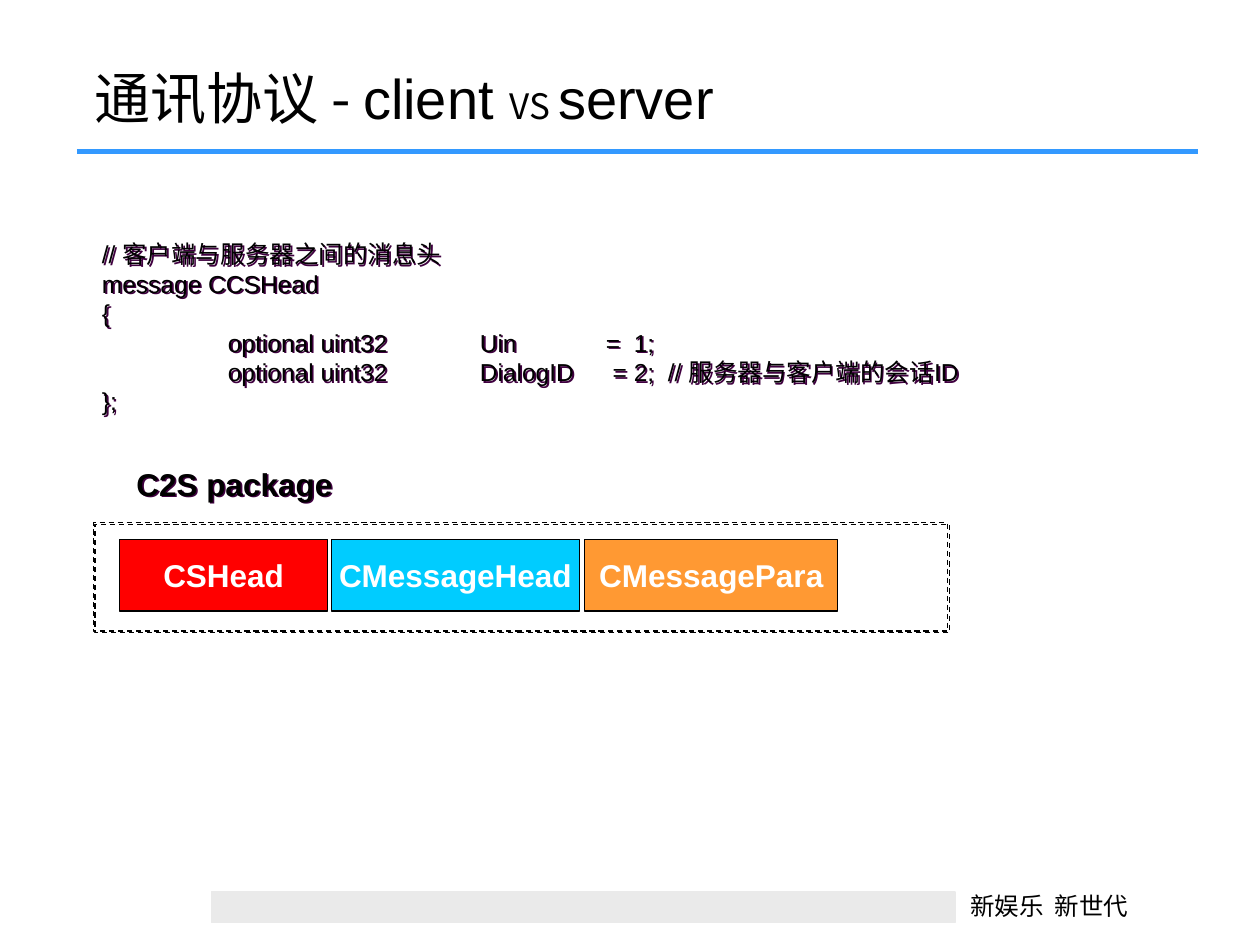
from lxml import etree
from pptx import Presentation
from pptx import util as u
from pptx.dml.color import RGBColor
from pptx.enum import dml, shapes, text
from pptx.oxml import ns

BLACK = RGBColor(0, 0, 0)
WHITE = RGBColor(255, 255, 255)
BLUE = RGBColor(0x33, 0x99, 0xFF)
GREY = RGBColor(0xEA, 0xEA, 0xEA)
RED = RGBColor(255, 0, 0)
CYAN = RGBColor(0, 0xCC, 0xFF)
ORANGE = RGBColor(0xFF, 0x99, 0x33)
PLUM = RGBColor(0x40, 0, 0x40)

ARIAL, NOTO = "Arial", "Noto Sans CJK SC"
COLS, ROWS = 100, 75


def add(parent, tag, **attrs):
    node = etree.SubElement(parent, ns.qn(tag))
    for key, val in attrs.items():
        node.set(key, str(val))
    return node


class Deck:
    """Holds the style and the current slide; lengths are columns and rows."""

    def __init__(self):
        self.prs = Presentation()
        self.prs.slide_width, self.prs.slide_height = u.Inches(10), u.Inches(7.5)
        self.slide = self.prs.slides.add_slide(self.prs.slide_layouts[6])
        self.items = self.slide.shapes

    def grid(self, x, y, *size):
        """Turn column, row pairs into slide lengths."""
        wide, high = self.prs.slide_width / COLS, self.prs.slide_height / ROWS
        return [round(val * (high if i % 2 else wide))
                for i, val in enumerate((x, y, *size))]

    def shade(self, shape, color):
        effect = add(shape._element.spPr, "a:effectLst")
        cast = add(effect, "a:outerShdw", dist=u.Pt(1.4), dir=45 * 60000,
                   algn="ctr", rotWithShape=0)
        add(cast, "a:srgbClr", val=color)

    def fill_text(self, frame, lines, size=14, color=BLACK, bold=False,
                  align=None, anchor=text.MSO_ANCHOR.TOP, wrap=True):
        """Each line is a list of runs: words, font and, if it differs, size."""
        frame.word_wrap, frame.vertical_anchor = wrap, anchor
        for i, runs in enumerate(lines):
            par = frame.add_paragraph() if i else frame.paragraphs[0]
            tabs = add(par._p.get_or_add_pPr(), "a:tabLst")
            for stop in range(1, 8):
                add(tabs, "a:tab", pos=u.Inches(stop), algn="l")
            par.alignment = align
            for words, face, *own in runs:
                run = par.add_run()
                run.text = words
                font = run.font
                font.name, font.bold = face, bold
                font.size = u.Pt(own[0] if own else size)
                font.color.rgb = color
                add(run._r.get_or_add_rPr(), "a:ea", typeface=NOTO)

    def label(self, place, lines, shadow=None, **style):
        box = self.items.add_textbox(*self.grid(*place))
        self.fill_text(box.text_frame, lines, **style)
        if shadow is not None:
            self.shade(box, shadow)

    def rect(self, place, fill=None, edge=BLACK):
        box = self.items.add_shape(shapes.MSO_SHAPE.RECTANGLE, *self.grid(*place))
        box.shadow.inherit = False
        if fill is None:
            box.fill.background()
        else:
            box.fill.solid()
            box.fill.fore_color.rgb = fill
        box.line.color.rgb, box.line.width = edge, u.Pt(0.75)
        return box

    def block(self, place, fill, name):
        box = self.rect(place, fill)
        self.fill_text(box.text_frame, [[(name, ARIAL)]], size=18, color=WHITE,
                       bold=True, align=text.PP_ALIGN.CENTER,
                       anchor=text.MSO_ANCHOR.MIDDLE, wrap=False)

    def frame(self, place):
        box = self.rect(place)
        box.line.dash_style = dml.MSO_LINE.DASH
        props = box._element.spPr
        props.remove(props.find(ns.qn("a:effectLst")))
        self.shade(box, BLACK)

    def rule(self, start, end):
        line = self.items.add_connector(shapes.MSO_CONNECTOR.STRAIGHT,
                                        *self.grid(*start, *end))
        line.line.color.rgb, line.line.width = BLUE, u.Pt(3)
        add(line._element.spPr, "a:effectLst")


CODE = (
    "// 客户端与服务器之间的消息头",
    "message CCSHead",
    "{",
    "\toptional uint32\tUin\t=  1;",
    "\toptional uint32\tDialogID\t = 2;  // 服务器与客户端的会话ID",
    "};",
)
PARTS = (
    (9.5, 16.5, RED, "CSHead"),
    (26.3, 19.7, CYAN, "CMessageHead"),
    (46.4, 20.1, ORANGE, "CMessagePara"),
)


def main():
    deck = Deck()
    deck.rule((6.1, 12), (95.1, 12))
    deck.rect((16.8, 70.8, 59, 2.4), GREY, GREY)
    deck.label((76, 70.2, 14.8, 3.4), [[("新娱乐  新世代", NOTO)]])
    title = [("通讯协议 - ", NOTO), ("client ", ARIAL), ("VS ", NOTO, 20),
             ("server", ARIAL)]
    deck.label((6.5, 4.6, 87.5, 6.3), [title], size=32,
               anchor=text.MSO_ANCHOR.BOTTOM)
    for left, wide, fill, name in PARTS:
        deck.block((left, 42.8, wide, 5.7), fill, name)
    deck.label((7.1, 18.5, 84.2, 18.6), [[(line, ARIAL)] for line in CODE],
               shadow=PLUM)
    deck.label((7.9, 36.4, 21.4, 4), [[("C2S package", ARIAL)]], shadow=PLUM,
               size=18, bold=True, align=text.PP_ALIGN.CENTER)
    deck.frame((7.4, 41.5, 67.8, 8.6))
    deck.prs.save("out.pptx")


if __name__ == "__main__":
    main()
